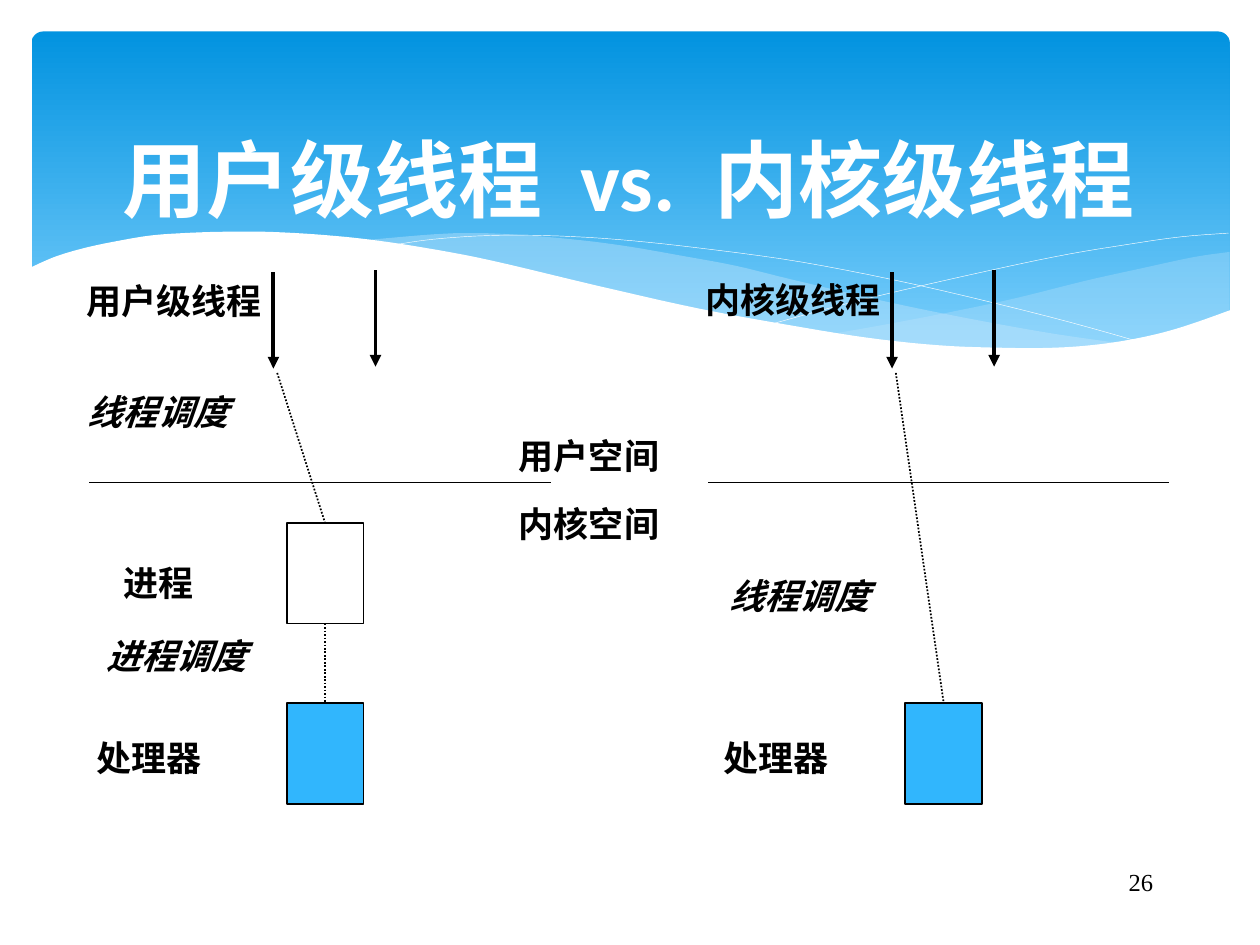
from dataclasses import dataclass

from lxml import etree
from pptx import Presentation
from pptx import util as u
from pptx.dml.color import RGBColor
from pptx.enum import dml, shapes, text
from pptx.oxml import ns

COLUMNS, ROWS = 100, 75


@dataclass(frozen=True)
class Theme:
    sky_top: str = "0293E0"
    sky_bottom: str = "83D3FE"
    wave: str = "C6E7FC"
    processor: str = "31B6FD"
    paper: str = "FFFFFF"
    ink: str = "000000"
    title_font: str = "Calibri"
    label_font: str = "Arial"
    number_font: str = "Times New Roman"
    title_size: int = 48
    label_size: int = 20
    number_size: int = 14
    thin: float = 1
    thick: float = 2.25


def apply(target, values):
    for name, value in values.items():
        setattr(target, name, value)


def smooth(knots, steps=5):
    padded = [knots[0], *knots, knots[-1]]
    points = [knots[0]]
    for a, b, c, d in zip(padded, padded[1:], padded[2:], padded[3:]):
        for step in range(1, steps + 1):
            t = step / steps
            points.append(tuple(
                0.5 * (2 * q + (r - p) * t + (2 * p - 5 * q + 4 * r - s) * t ** 2
                       + (3 * q - p - 3 * r + s) * t ** 3)
                for p, q, r, s in zip(a, b, c, d)))
    return points


class SlideBuilder:
    def __init__(self, presentation, theme):
        self.theme = theme
        self.slide = presentation.slides.add_slide(presentation.slide_layouts[5])
        self.column = presentation.slide_width / COLUMNS
        self.row = presentation.slide_height / ROWS

    def place(self, column, row):
        return u.Emu(round(column * self.column)), u.Emu(round(row * self.row))

    def paint(self, shape, fill=None, line=None, width=1, opacity=None):
        shape.shadow.inherit = False
        for part, color in ((shape.fill, fill), (shape.line.fill, line)):
            if color:
                part.solid()
                part.fore_color.rgb = RGBColor.from_string(color)
            else:
                part.background()
        if line:
            shape.line.width = u.Pt(width)
        if opacity:
            color = shape.element.spPr.find(ns.qn("a:solidFill"))[0]
            etree.SubElement(color, ns.qn("a:alpha"), val=str(opacity * 1000))

    def banner(self, left, top, width, height):
        shape = self.slide.shapes.add_shape(
            shapes.MSO_SHAPE.ROUNDED_RECTANGLE,
            *self.place(left, top), *self.place(width, height))
        self.paint(shape)
        shape.adjustments[0] = 0.034
        shape.fill.gradient()
        shape.fill.gradient_angle = 270
        colors = self.theme.sky_top, self.theme.sky_bottom
        for stop, color in zip(shape.fill.gradient_stops, colors):
            stop.color.rgb = RGBColor.from_string(color)

    def wave(self, *curves, closed=True, **style):
        points = [self.place(*point) for knots in curves for point in smooth(knots)]
        builder = self.slide.shapes.build_freeform(*points[0])
        builder.add_line_segments(points[1:], close=closed)
        self.paint(builder.convert_to_shape(), **style)

    def box(self, left, top, width, height, fill=None):
        shape = self.slide.shapes.add_shape(
            shapes.MSO_SHAPE.RECTANGLE,
            *self.place(left, top), *self.place(width, height))
        self.paint(shape, fill, self.theme.ink, self.theme.thin)
        return shape

    def line(self, begin, end=(0, 0), begin_joint=None, end_joint=None,
             width=None, dash=None, arrow=False):
        connector = self.slide.shapes.add_connector(
            shapes.MSO_CONNECTOR.STRAIGHT, *self.place(*begin), *self.place(*end))
        if begin_joint:
            connector.begin_connect(*begin_joint)
        if end_joint:
            connector.end_connect(*end_joint)
        connector.line.color.rgb = RGBColor.from_string(self.theme.ink)
        apply(connector.line, {"width": u.Pt(width or self.theme.thin), "dash_style": dash})
        properties = connector.element.spPr
        if arrow:
            outline = properties.find(ns.qn("a:ln"))
            etree.SubElement(outline, ns.qn("a:tailEnd"), type="triangle")
        etree.SubElement(properties, ns.qn("a:effectLst"))

    def add_words(self, paragraph, words, color, **font):
        run = paragraph.add_run()
        run.text = words
        apply(run.font, font)
        run.font.color.rgb = RGBColor.from_string(color)

    def title(self, words, left, top, width, height, gap):
        shape = self.slide.shapes.title
        shape.element.getparent().append(shape.element)
        x, y = self.place(left, top)
        w, h = self.place(width, height)
        apply(shape, {"left": x, "top": y, "width": w, "height": h})
        apply(shape.text_frame, {"vertical_anchor": text.MSO_ANCHOR.BOTTOM,
                                 "auto_size": text.MSO_AUTO_SIZE.NONE})
        paragraph = shape.text_frame.paragraphs[0]
        paragraph.alignment = text.PP_ALIGN.CENTER
        font = {"name": self.theme.title_font, "size": u.Pt(self.theme.title_size), "bold": True}
        for index, word in enumerate(words.split()):
            if index:
                self.add_words(paragraph, " ", self.theme.paper, **font)
                space = paragraph.runs[-1].font
                space._element.set("spc", str(gap * 100))
            self.add_words(paragraph, word, self.theme.paper, **font)

    def text_box(self, words, left, top, width, height, wrap, align, **font):
        shape = self.slide.shapes.add_textbox(
            *self.place(left, top), *self.place(width, height))
        fit = text.MSO_AUTO_SIZE.NONE if wrap else text.MSO_AUTO_SIZE.SHAPE_TO_FIT_TEXT
        apply(shape.text_frame, {"word_wrap": wrap, "auto_size": fit})
        paragraph = shape.text_frame.paragraphs[0]
        paragraph.alignment = align
        self.add_words(paragraph, words, self.theme.ink, **font)

    def label(self, words, left, top, italic=False):
        self.text_box(words, left, top, 2 + 2.78 * len(words), 4.3, False, text.PP_ALIGN.LEFT,
                      name=self.theme.label_font, size=u.Pt(self.theme.label_size),
                      bold=True, italic=italic)

    def number(self, words, left, top, width, height):
        self.text_box(words, left, top, width, height, True, text.PP_ALIGN.RIGHT,
                      name=self.theme.number_font, size=u.Pt(self.theme.number_size))


def draw_background(builder):
    theme = builder.theme
    builder.banner(2.5, 2.5, 95.1, 27)
    builder.wave(
        [(97.6, 20), (94.8, 20.4), (90.6, 21.3), (86.1, 22.3), (80.5, 23.7),
         (75.3, 24.8), (70.6, 25.7), (66.1, 26.5)],
        [(66.1, 26.5), (70.5, 27.1), (74.5, 27.5), (79.2, 27.7), (82.4, 27.7),
         (86.3, 27.5), (89.7, 27), (93.5, 26.2), (97.6, 24.7)],
        fill=theme.wave, opacity=29)
    builder.wave(
        [(89.3, 27.3), (83.7, 26.5), (77.5, 25.4), (70.6, 24), (62.9, 22.2),
         (58.4, 21.1), (54.1, 20.3), (50.1, 19.6), (46.4, 19.1), (42, 18.7),
         (38, 18.5), (34.4, 18.6), (28.6, 19.1)],
        [(28.6, 19.1), (34.2, 19.9), (40.4, 21.1), (44.9, 22.2), (53, 24),
         (60.1, 25.5), (66.5, 26.6), (72.2, 27.4), (77.3, 27.8), (81.8, 27.9),
         (85.7, 27.7), (89.3, 27.3)],
        fill=theme.wave, opacity=40)
    builder.wave(
        [(30.9, 19.5), (34.3, 19), (38.7, 18.7), (43.3, 18.7), (48.9, 19),
         (55.6, 19.7), (63.6, 20.8), (72.7, 22.6), (83.1, 25.1), (90.7, 27.2)],
        closed=False, line=theme.paper, width=0.25)
    builder.wave(
        [(61.3, 25.7), (67.2, 24.1), (74.8, 22.3), (83.6, 20.4), (89.5, 19.4),
         (93.7, 18.8), (97.5, 18.5)],
        closed=False, line=theme.paper, width=0.25)
    builder.wave(
        [(97.7, 24.6), (94, 25.9), (91, 26.7), (87.5, 27.3), (83.7, 27.6),
         (79.3, 27.6), (74.4, 27.4), (68.8, 26.8), (62.6, 25.8), (55.5, 24.5),
         (47.5, 22.7), (39.1, 20.7), (33.9, 19.7), (29.2, 19), (25, 18.6),
         (21.1, 18.4), (17.6, 18.4), (14.6, 18.5), (11.9, 18.7), (9.5, 19.1),
         (7.5, 19.5), (5.9, 19.9), (4.6, 20.3), (3.6, 20.7), (2.3, 21.3)],
        [(2.3, 32.9), (97.7, 32.9)], fill=theme.paper)


def draw_diagram(builder):
    dotted = dml.MSO_LINE.ROUND_DOT
    process = builder.box(22.75, 41.5, 6.1, 8)
    for origin in (0, 49.1):
        processor = builder.box(origin + 22.75, 55.8, 6.1, 8, builder.theme.processor)
        builder.line((origin + 7.1, 38.3), (origin + 43.7, 38.3))
        for column, row in ((21.7, 21.6), (29.8, 21.45)):
            builder.line((origin + column, row), (origin + column, row + 7.65),
                         width=builder.theme.thick, arrow=True)
        target = processor if origin else process
        builder.line((origin + 22, 29.6), end_joint=(target, 0), dash=dotted)
        if not origin:
            builder.line((0, 0), begin_joint=(process, 2), end_joint=(processor, 0), dash=dotted)
    for words, left, top in (("进程", 8.8, 44.1), ("处理器", 6.7, 58), ("用户级线程", 5.9, 21.7),
                             ("处理器", 56.4, 58), ("内核级线程", 55, 21.6),
                             ("内核空间", 40.2, 39.4), ("用户空间", 40.2, 34)):
        builder.label(words, left, top)
    for words, left, top in (("线程调度", 6, 30.5), ("进程调度", 7.5, 49.9),
                             ("线程调度", 56.9, 45.1)):
        builder.label(words, left, top, italic=True)


def main():
    presentation = Presentation()
    apply(presentation, {"slide_width": u.Inches(10), "slide_height": u.Inches(7.5)})
    builder = SlideBuilder(presentation, Theme())
    draw_background(builder)
    builder.title("用户级线程 vs. 内核级线程", 0, 8.6, 99.7, 10, gap=11)
    draw_diagram(builder)
    builder.number("26", 71.7, 68.3, 20.8, 5)
    presentation.save("out.pptx")


if __name__ == "__main__":
    main()
